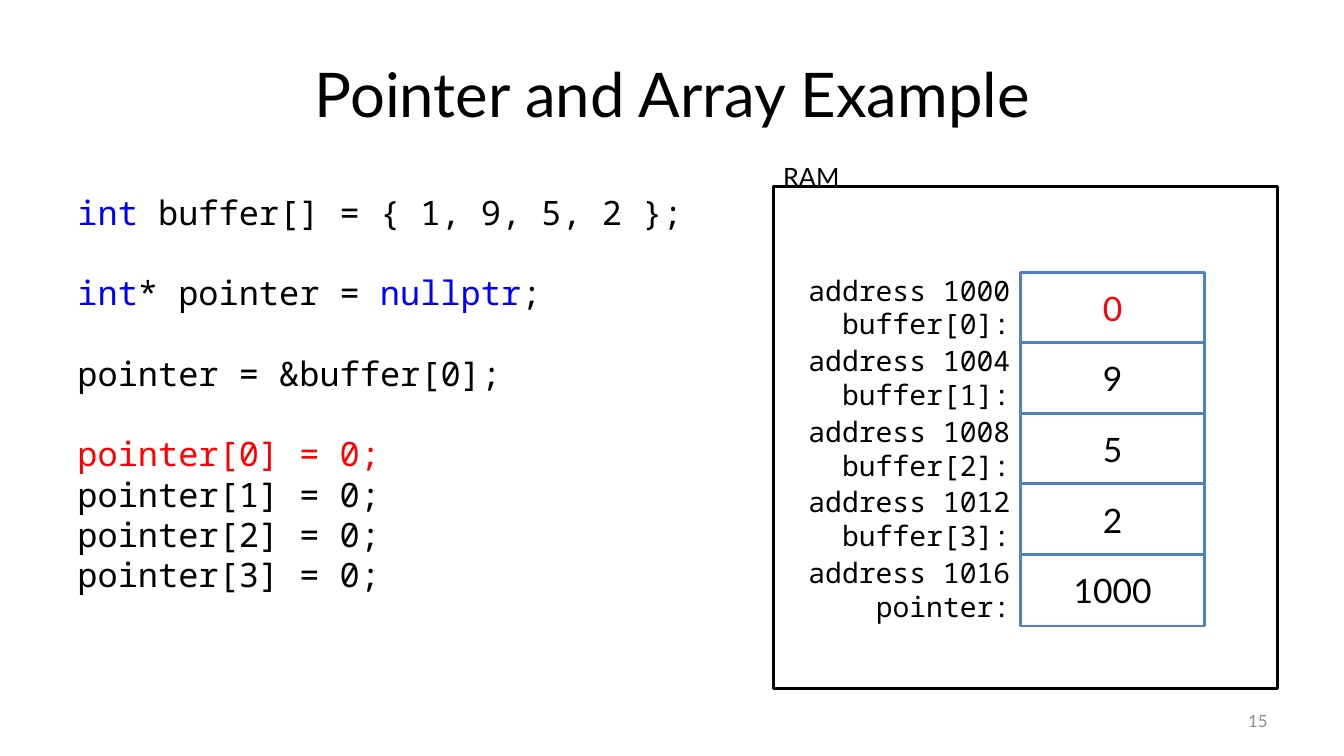
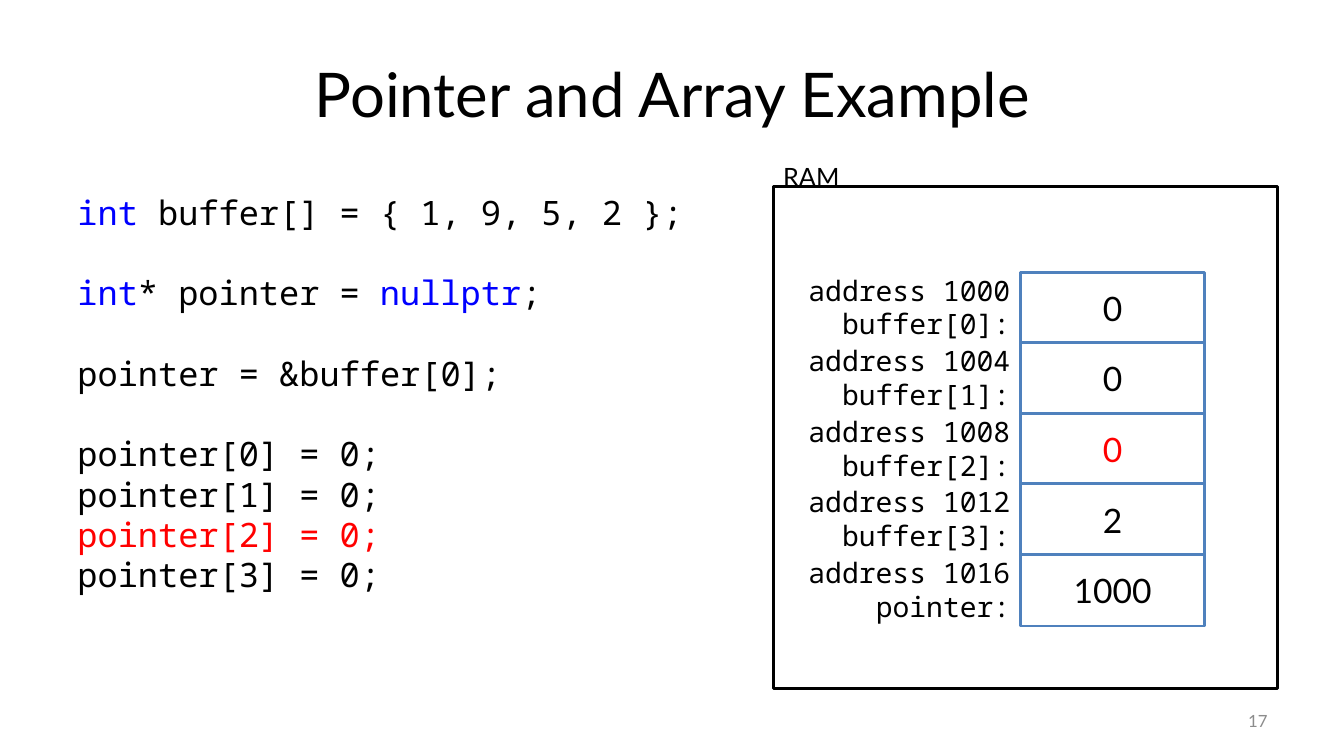
from pptx import Presentation
from pptx.dml.color import RGBColor
from pptx.enum.shapes import MSO_SHAPE as SHAPE
from pptx.enum.text import MSO_ANCHOR as ANCHOR, PP_ALIGN as ALIGN
from pptx.util import Emu, Pt

COLORS = {
    "black": "000000",
    "white": "FFFFFF",
    "active": "FF0000",
    "keyword": "0000FF",
    "cell": "4F81BD",
    "number": "8C8C8C",
}
SANS, MONO = "Lato", "Noto Sans Mono"
LEADING = 1.2  # code line height relative to the font size

BUFFER = [1, 9, 5, 2]
BASE_ADDRESS, INT_SIZE = 1000, 4
FIRST_PAGE = 15

# Each declaration is a list of (text, colour) pieces
DECLARATIONS = [
    [("int", "keyword"), (" buffer[] = { 1, 9, 5, 2 };", "black")],
    [("int", "keyword"), ("* pointer = ", "black"),
     ("nullptr", "keyword"), (";", "black")],
    [("pointer = &buffer[0];", "black")],
]


def px(n):
    """Convert px to EMU, at 100 px to the inch."""
    return Emu(n * 9144)


def rgb(name):
    return RGBColor.from_string(COLORS[name])


def style(font, size, color="black", name=SANS):
    font.size, font.name = Pt(size), name
    font.color.rgb = rgb(color)


# Elements
def add_title(s, text):
    sp = s.shapes.title
    sp.left, sp.top, sp.width, sp.height = map(px, (67, 30, 1200, 125))
    tf = sp.text_frame
    tf.text = text
    tf.vertical_anchor = ANCHOR.MIDDLE
    p = tf.paragraphs[0]
    p.alignment = ALIGN.CENTER
    style(p.runs[0].font, 44)


def add_text(s, box, lines, size, color="black", name=SANS,
             align=ALIGN.LEFT, anchor=ANCHOR.TOP):
    tf = s.shapes.add_textbox(*map(px, box)).text_frame
    tf.word_wrap = True
    tf.vertical_anchor = anchor
    tf.text = "\n".join(lines)
    for p in tf.paragraphs:
        p.alignment = align
        if name == MONO:
            p.line_spacing = Pt(size * LEADING)
        style(p.runs[0].font, size, color, name)


def add_box(s, box, line, text="", color="black"):
    sp = s.shapes.add_shape(SHAPE.RECTANGLE, *map(px, box))
    sp.shadow.inherit = False
    sp.fill.solid()
    sp.fill.fore_color.rgb = rgb("white")
    sp.line.color.rgb = rgb(line)
    sp.line.width = Pt(2)
    if text:
        tf = sp.text_frame
        tf.text = text
        tf.vertical_anchor = ANCHOR.MIDDLE
        p = tf.paragraphs[0]
        p.alignment = ALIGN.CENTER
        style(p.runs[0].font, 24, color)


def add_code(s, box, step, size=24):
    assignments = [[(f"pointer[{i}] = 0;", "active" if i == step else "black")]
                   for i in range(len(BUFFER))]
    tf = s.shapes.add_textbox(*map(px, box)).text_frame
    tf.word_wrap = True
    for i, pieces in enumerate(DECLARATIONS + assignments):
        p = tf.paragraphs[0] if i == 0 else tf.add_paragraph()
        p.line_spacing = Pt(size * LEADING)
        # A one-line gap surrounds every declaration
        if 0 < i <= len(DECLARATIONS):
            p.space_before = Pt(size * LEADING)
        for text, color in pieces:
            r = p.add_run()
            r.text = text
            style(r.font, size, color, MONO)


def add_memory(s, step):
    add_box(s, (767, 185, 500, 498), "black")
    add_text(s, (767, 155, 186, 40), ["RAM"], 18)
    values = [0 if i <= step else v for i, v in enumerate(BUFFER)]
    names = [f"buffer[{i}]:" for i in range(len(BUFFER))] + ["pointer:"]
    for i, (name, value) in enumerate(zip(names, values + [BASE_ADDRESS])):
        top = 270 + 70 * i
        add_box(s, (1012, top, 183, 71), "cell", str(value),
                "active" if i == step else "black")
        add_text(s, (745, top - 4, 267, 77),
                 [f"address {BASE_ADDRESS + INT_SIZE * i}", name], 20,
                 name=MONO, align=ALIGN.RIGHT, anchor=ANCHOR.MIDDLE)


def add_step_slide(prs, step):
    """Show the program after pointer[step] has been set to zero."""
    s = prs.slides.add_slide(prs.slide_layouts[5])
    add_title(s, "Pointer and Array Example")
    add_text(s, (956, 695, 311, 40), [str(FIRST_PAGE + step)], 12, "number",
             align=ALIGN.RIGHT, anchor=ANCHOR.MIDDLE)
    add_memory(s, step)
    add_code(s, (67, 185, 633, 414), step)


def main():
    prs = Presentation()
    prs.slide_width, prs.slide_height = px(1333), px(750)
    for step in (0, 2):
        add_step_slide(prs, step)
    prs.save("out.pptx")


if __name__ == "__main__":
    main()
